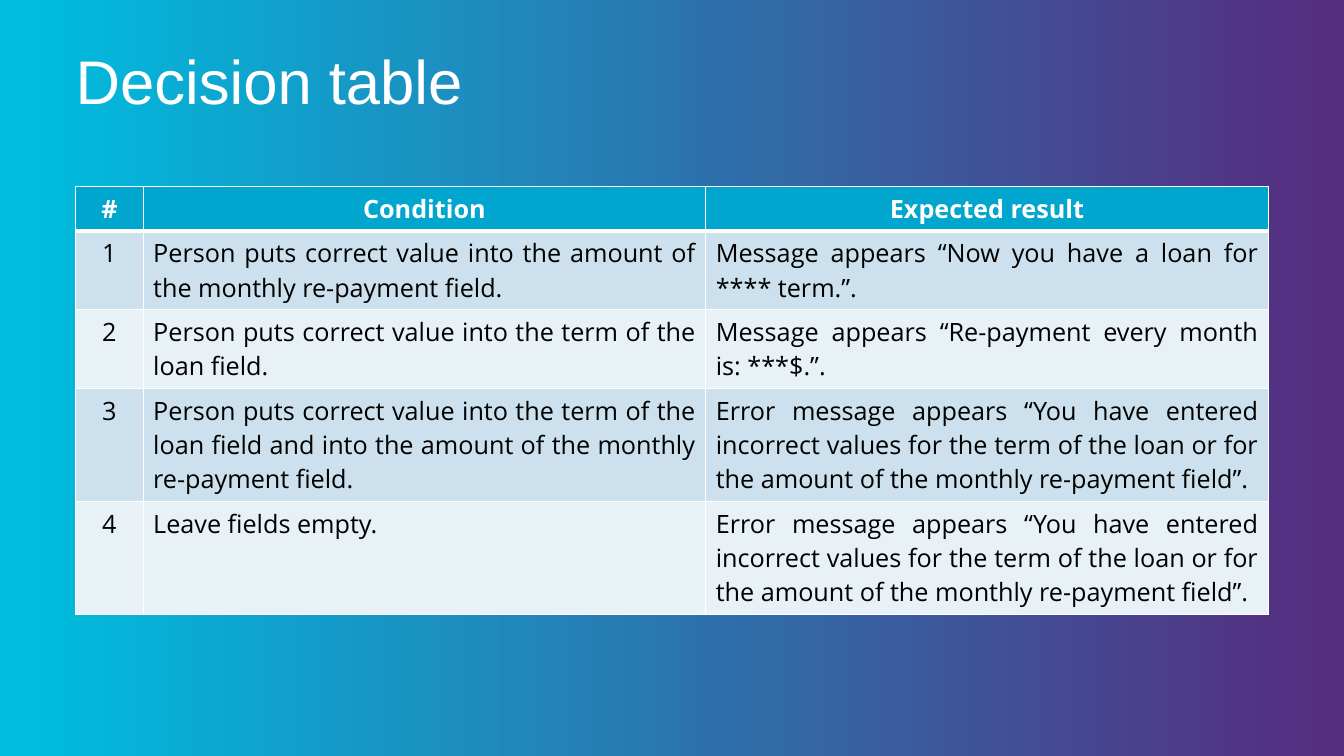
from lxml import etree
from pptx import Presentation
from pptx.dml.color import RGBColor
from pptx.enum.text import MSO_ANCHOR, MSO_AUTO_SIZE, PP_ALIGN
from pptx.oxml.ns import qn
from pptx.util import Inches, Pt

LEFT, CENTER, JUSTIFY = PP_ALIGN.LEFT, PP_ALIGN.CENTER, PP_ALIGN.JUSTIFY
MIDDLE = MSO_ANCHOR.MIDDLE
NO_AUTOFIT = MSO_AUTO_SIZE.NONE
TITLE_ONLY = 5

ERROR_RESULT = (
    "Error message appears “You have entered incorrect values for the term "
    "of the loan or for the amount of the monthly re-payment field”."
)
HEADINGS = ["#", "Condition", "Expected result"]
RULES = [
    ("Person puts correct value into the amount of the monthly re-payment field.",
     "Message appears “Now you have a loan for **** term.”."),
    ("Person puts correct value into the term of the loan field.",
     "Message appears “Re-payment every month is: ***$.”."),
    ("Person puts correct value into the term of the loan field and into "
     "the amount of the monthly re-payment field.", ERROR_RESULT),
    ("Leave fields empty.", ERROR_RESULT),
]


def rgb(value):
    return RGBColor.from_string(value)


def write(text_frame, text, *, font, size, color, bold=False, align=LEFT, spacing=None):
    paragraph = text_frame.paragraphs[0]
    paragraph.alignment = align
    paragraph.line_spacing = spacing
    run = paragraph.add_run()
    run.text = text
    run.font.name = font
    run.font.size = Pt(size)
    run.font.bold = bold
    run.font.color.rgb = rgb(color)


def set_borders(cell, color, bottom_width):
    """Draw 1 pt borders, with a separate width for the bottom edge."""
    properties = cell._tc.get_or_add_tcPr()
    edges = {"a:lnL": 1, "a:lnR": 1, "a:lnT": 1, "a:lnB": bottom_width}
    for position, (tag, width) in enumerate(edges.items()):
        line = etree.Element(qn(tag), w=str(Pt(width)))
        fill = etree.SubElement(line, qn("a:solidFill"))
        etree.SubElement(fill, qn("a:srgbClr"), val=color)
        properties.insert(position, line)


class DecisionSlide:
    TITLE_FONT, TABLE_FONT = "Arial", "Open Sans"
    WHITE, BLACK = "FFFFFF", "000000"
    HEADER_FILL = "00A6CE"
    BAND_FILLS = ["CCE1ED", "E7F1F6"]
    MARGIN, WIDTH = 0.75, 11.83

    def __init__(self, presentation):
        self.slide = presentation.slides.add_slide(presentation.slide_layouts[TITLE_ONLY])

    def background(self, stops, angle):
        fill = self.slide.background.fill
        fill.gradient()
        fill.gradient_angle = angle
        for stop, (position, color) in zip(fill.gradient_stops, stops):
            stop.position = position
            stop.color.rgb = rgb(color)

    def title(self, text, top, height):
        shape = self.slide.shapes.title
        shape.left, shape.top = Inches(self.MARGIN), Inches(top)
        shape.width, shape.height = Inches(self.WIDTH), Inches(height)
        frame = shape.text_frame
        frame.auto_size = NO_AUTOFIT
        frame.word_wrap = True
        frame.vertical_anchor = MIDDLE
        frame.margin_left = 0
        write(frame, text, font=self.TITLE_FONT, size=44, color=self.WHITE, spacing=0.9)

    def table(self, rows, top, column_widths, row_height):
        """Add a table whose first row is the header and whose body is banded."""
        table = self.slide.shapes.add_table(
            len(rows), len(column_widths), Inches(self.MARGIN), Inches(top),
            Inches(self.WIDTH), Inches(row_height * len(rows))).table
        for column, width in zip(table.columns, column_widths):
            column.width = Inches(width)
        for row_index, texts in enumerate(rows):
            table.rows[row_index].height = Inches(row_height)
            header = row_index == 0
            fill = self.HEADER_FILL if header else self.BAND_FILLS[(row_index - 1) % 2]
            for column_index, text in enumerate(texts):
                cell = table.cell(row_index, column_index)
                cell.fill.solid()
                cell.fill.fore_color.rgb = rgb(fill)
                set_borders(cell, self.WHITE, 3 if header else 1)
                write(cell.text_frame, text, font=self.TABLE_FONT, size=18, bold=header,
                      color=self.WHITE if header else self.BLACK,
                      align=CENTER if header or column_index == 0 else JUSTIFY)
                if row_index == 1:
                    cell._tc.tcPr.find(qn("a:lnT")).set("w", str(Pt(3)))


def main():
    presentation = Presentation()
    presentation.slide_width, presentation.slide_height = Inches(13.33), Inches(7.5)
    slide = DecisionSlide(presentation)
    slide.background([(0.01, "562D7F"), (0.98, "00BCDE")], angle=180)
    slide.title("Decision table", top=0.49, height=0.7)
    rows = [HEADINGS] + [(str(number), *rule) for number, rule in enumerate(RULES, 1)]
    slide.table(rows, top=1.85, column_widths=[0.67, 5.58, 5.58], row_height=0.41)
    presentation.save("out.pptx")


if __name__ == "__main__":
    main()
